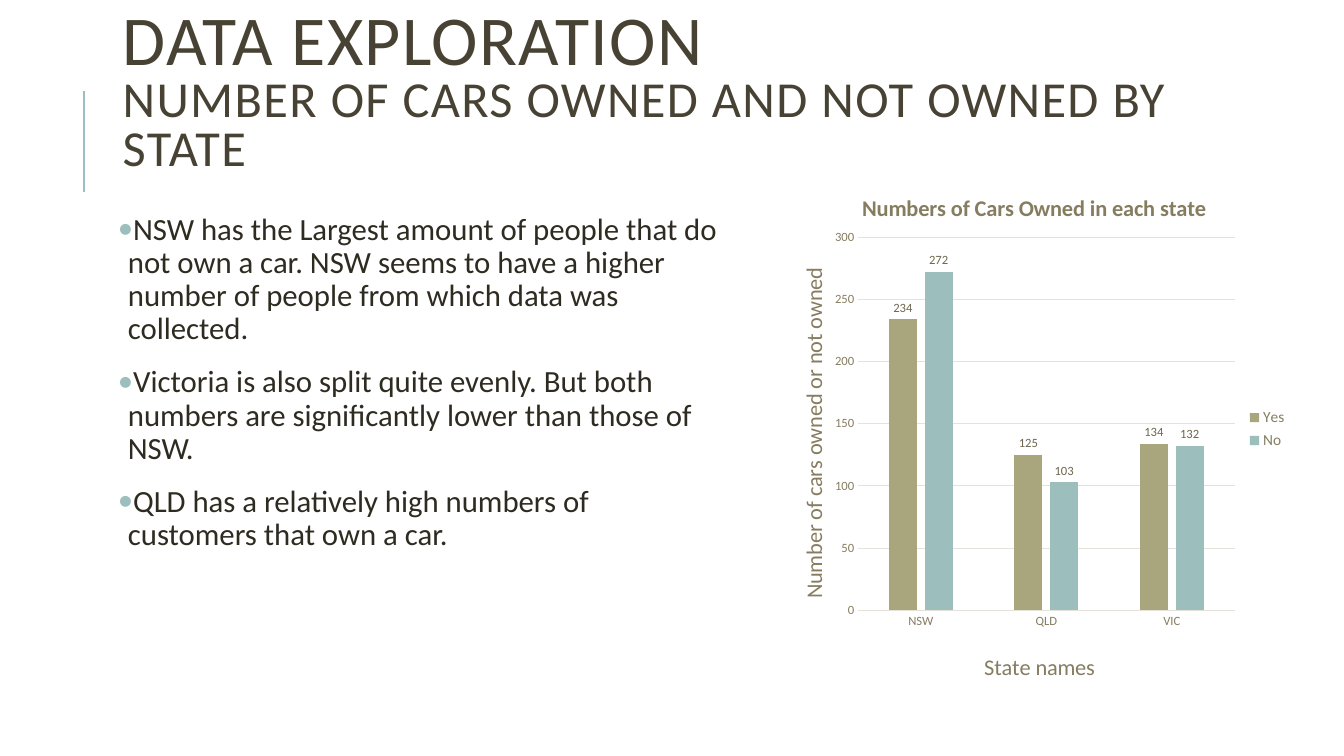
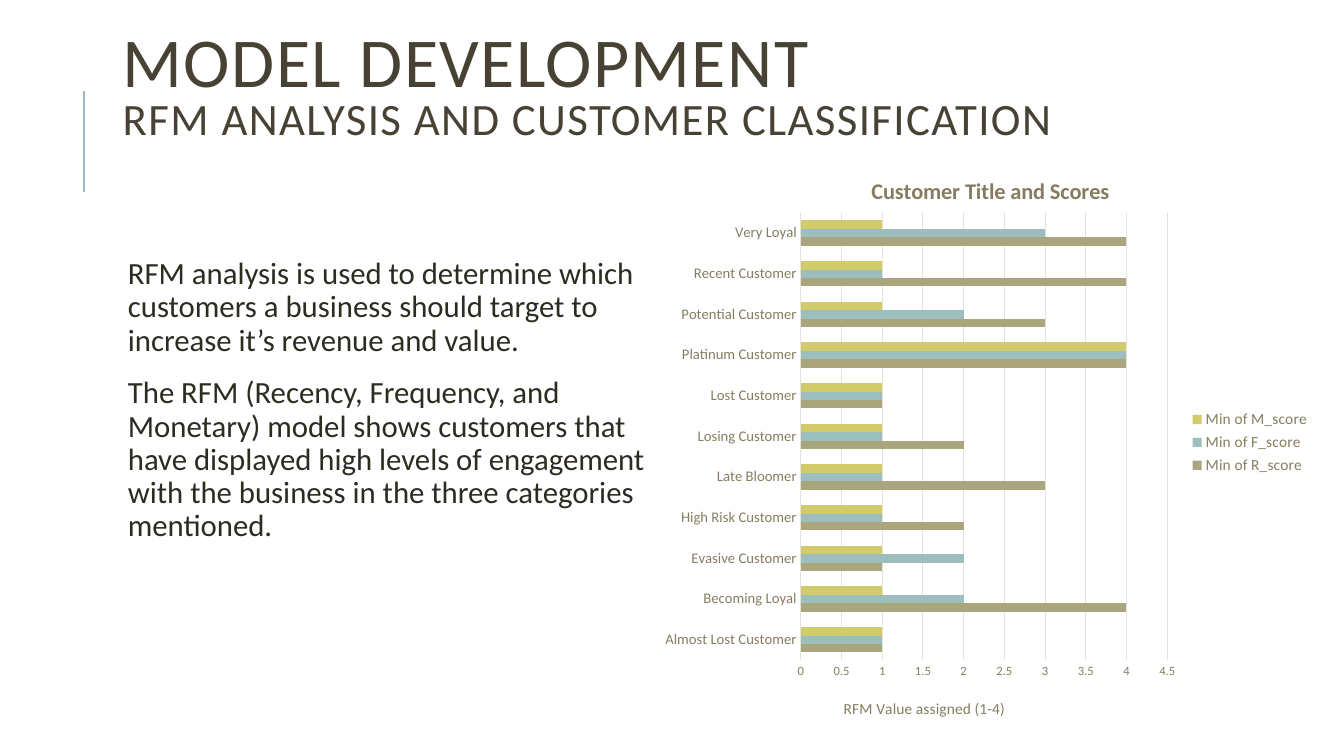
"""Build two analysis slides, each pairing written findings with a clustered chart."""

from dataclasses import dataclass
from typing import Optional

from lxml.etree import SubElement
from pptx import Presentation
from pptx.chart.chart import Chart
from pptx.chart.data import CategoryChartData
from pptx.dml.color import RGBColor
from pptx.enum.chart import XL_CHART_TYPE, XL_LABEL_POSITION, XL_LEGEND_POSITION, XL_TICK_MARK
from pptx.enum.shapes import MSO_CONNECTOR
from pptx.enum.text import MSO_ANCHOR
from pptx.oxml.ns import qn
from pptx.slide import Slide
from pptx.text.text import Font
from pptx.util import Pt

FONT = "Calibri"
HEADING = RGBColor(0x47, 0x42, 0x33)
BODY = RGBColor(0x2E, 0x2B, 0x21)
CHART_TEXT = RGBColor(0x86, 0x7D, 0x60)
LABEL = RGBColor(0x6D, 0x66, 0x4E)
GRID = RGBColor(0xE4, 0xE2, 0xD9)
OLIVE = RGBColor(0xA9, 0xA5, 0x7C)
TEAL = RGBColor(0x9C, 0xBE, 0xBD)
LIME = RGBColor(0xD2, 0xCB, 0x6C)


@dataclass(frozen=True)
class Box:
    left: float
    top: float
    width: float
    height: float

    def lengths(self) -> tuple[Pt, Pt, Pt, Pt]:
        return Pt(self.left), Pt(self.top), Pt(self.width), Pt(self.height)


@dataclass(frozen=True)
class Heading:
    text: str
    size: float
    x: float
    y: float


@dataclass(frozen=True)
class Series:
    name: str
    values: tuple[int, ...]
    color: RGBColor


@dataclass(frozen=True)
class ChartSpec:
    kind: XL_CHART_TYPE
    box: Box
    plot: Box
    title: Heading
    value_title: Heading
    categories: tuple[str, ...]
    series: tuple[Series, ...]
    gap: int
    overlap: int
    maximum: float
    step: float
    category_size: float
    category_title: Optional[Heading] = None
    labelled: bool = False


@dataclass(frozen=True)
class Topic:
    title: str
    subtitle: str
    subtitle_size: float
    title_height: float
    findings_box: Box
    findings: tuple[str, ...]
    bulleted: bool
    chart: ChartSpec


TOPICS = (
    Topic(
        "DATA EXPLORATION", "NUMBER OF CARS OWNED AND NOT OWNED BY STATE", 36, 98,
        Box(80.6, 149, 437, 348),
        (
            "NSW has the Largest amount of people that do not own a car. NSW seems to have "
            "a higher number of people from which data was collected.",
            "Victoria is also split quite evenly. But both numbers are significantly lower "
            "than those of NSW.",
            "QLD has a relatively high numbers of customers that own a car.",
        ),
        True,
        ChartSpec(
            XL_CHART_TYPE.COLUMN_CLUSTERED,
            Box(548.6, 116, 378.7, 381), Box(0.17, 0.14, 0.71, 0.7),
            Heading("Numbers of Cars Owned in each state", 16, 0.17, 0.05),
            Heading("Number of cars owned or not owned", 16, 0.05, 0.19),
            ("NSW", "QLD", "VIC"),
            (Series("Yes", (234, 125, 134), OLIVE), Series("No", (272, 103, 132), TEAL)),
            gap=219, overlap=-27, maximum=300, step=50, category_size=9,
            category_title=Heading("State names", 16, 0.4, 0.91), labelled=True,
        ),
    ),
    Topic(
        "MODEL DEVELOPMENT", "RFM ANALYSIS AND CUSTOMER CLASSIFICATION", 32, 91.4,
        Box(80.6, 180.7, 386.6, 316),
        (
            "RFM analysis is used to determine which customers a business should target to "
            "increase it’s revenue and value.",
            "The RFM (Recency, Frequency, and Monetary) model shows customers that have "
            "displayed high levels of engagement with the business in the three categories "
            "mentioned.",
        ),
        False,
        ChartSpec(
            XL_CHART_TYPE.BAR_CLUSTERED,
            Box(467.3, 105.8, 476, 420.5), Box(0.22, 0.11, 0.55, 0.76),
            Heading("Customer Title and Scores", 16, 0.32, 0.04),
            Heading("RFM Value assigned (1-4)", 11, 0.28, 0.93),
            (
                "Almost Lost Customer", "Becoming Loyal", "Evasive Customer",
                "High Risk Customer", "Late Bloomer", "Losing Customer", "Lost Customer",
                "Platinum Customer", "Potential Customer", "Recent Customer", "Very Loyal",
            ),
            (
                Series("Min of R_score", (1, 4, 1, 2, 3, 2, 1, 4, 3, 4, 4), OLIVE),
                Series("Min of F_score", (1, 2, 2, 1, 1, 1, 1, 4, 2, 1, 3), TEAL),
                Series("Min of M_score", (1, 1, 1, 1, 1, 1, 1, 4, 1, 1, 1), LIME),
            ),
            gap=182, overlap=0, maximum=4.5, step=0.5, category_size=10.5,
        ),
    ),
)


def style(font: Font, size: float, color: RGBColor, bold: bool = False) -> None:
    font.name = FONT
    font.size = Pt(size)
    font.bold = bold
    font.color.rgb = color


def set_layout(parent, index: int, **settings: object) -> None:
    for previous in parent.findall(qn("c:layout")):
        parent.remove(previous)
    layout = SubElement(parent, qn("c:layout"))
    manual = SubElement(layout, qn("c:manualLayout"))
    for tag, value in settings.items():
        SubElement(manual, qn(f"c:{tag}")).set("val", str(value))
    parent.insert(index, layout)


def set_heading(owner, heading: Heading, bold: bool = False, upright: bool = False) -> None:
    frame = owner.text_frame
    frame.text = heading.text
    style(frame.paragraphs[0].runs[0].font, heading.size, CHART_TEXT, bold)
    if upright:
        body = owner.element.find(f".//{qn('a:bodyPr')}")
        body.set("rot", "-5400000")
        body.set("vert", "horz")
    set_layout(owner.element, 1, xMode="edge", yMode="edge", x=heading.x, y=heading.y)


def style_axes(chart: Chart, spec: ChartSpec) -> None:
    category, value = chart.category_axis, chart.value_axis
    for axis, size in ((category, spec.category_size), (value, 9)):
        axis.major_tick_mark = axis.minor_tick_mark = XL_TICK_MARK.NONE
        style(axis.tick_labels.font, size, CHART_TEXT)
    category.format.line.color.rgb = GRID
    category.format.line.width = Pt(0.75)
    value.format.line.fill.background()
    value.major_gridlines.format.line.color.rgb = GRID
    value.major_gridlines.format.line.width = Pt(0.75)
    value.minimum_scale = 0
    value.maximum_scale = spec.maximum
    value.major_unit = spec.step
    upright = spec.kind == XL_CHART_TYPE.COLUMN_CLUSTERED
    set_heading(value.axis_title, spec.value_title, upright=upright)
    if spec.category_title:
        set_heading(category.axis_title, spec.category_title)


def add_chart(slide: Slide, spec: ChartSpec) -> None:
    data = CategoryChartData()
    data.categories = spec.categories
    for series in spec.series:
        data.add_series(series.name, series.values)
    chart = slide.shapes.add_chart(spec.kind, *spec.box.lengths(), data).chart
    style(chart.font, 10, BODY)
    set_heading(chart.chart_title, spec.title, bold=True)
    style_axes(chart, spec)
    chart.has_legend = True
    chart.legend.position = XL_LEGEND_POSITION.RIGHT
    chart.legend.include_in_layout = False
    style(chart.legend.font, 11, CHART_TEXT)
    bars = chart.plots[0]
    bars.vary_by_categories = False
    bars.gap_width = spec.gap
    bars.overlap = spec.overlap
    for drawn, series in zip(bars.series, spec.series):
        drawn.format.fill.solid()
        drawn.format.fill.fore_color.rgb = series.color
        if spec.labelled:
            drawn.data_labels.show_value = True
            drawn.data_labels.position = XL_LABEL_POSITION.OUTSIDE_END
            style(drawn.data_labels.font, 9, LABEL)
    area = chart.element.find(f".//{qn('c:plotArea')}")
    set_layout(
        area, 0, layoutTarget="inner", xMode="edge", yMode="edge",
        x=spec.plot.left, y=spec.plot.top, w=spec.plot.width, h=spec.plot.height,
    )


def add_title(slide: Slide, topic: Topic) -> None:
    rule = slide.shapes.add_connector(MSO_CONNECTOR.STRAIGHT, Pt(60), Pt(137), Pt(60), Pt(65))
    rule.line.color.rgb = TEAL
    rule.line.width = Pt(1.5)
    SubElement(rule.element.spPr, qn("a:effectLst"))
    box = Box(80.6, 18, 765.4, topic.title_height)
    frame = slide.shapes.add_textbox(*box.lengths()).text_frame
    frame.word_wrap = True
    frame.vertical_anchor = MSO_ANCHOR.MIDDLE
    heading = frame.paragraphs[0]
    heading.text = f"{topic.title}\v{topic.subtitle}"
    heading.line_spacing = 0.8
    for run, size in zip(heading.runs, (50, topic.subtitle_size)):
        style(run.font, size, HEADING)
        run.font._element.set("spc", "100")


def add_findings(slide: Slide, topic: Topic) -> None:
    frame = slide.shapes.add_textbox(*topic.findings_box.lengths()).text_frame
    frame.word_wrap = True
    frame.margin_left = frame.margin_right = Pt(3.6)
    frame.margin_top = frame.margin_bottom = Pt(3.6)
    frame.text = "\n".join(topic.findings)
    for finding in frame.paragraphs:
        finding.line_spacing = 0.9
        finding.space_before = Pt(12)
        finding.space_after = Pt(2)
        style(finding.runs[0].font, 22, BODY)
        properties = finding._p.get_or_add_pPr()
        properties.set("marL", str(Pt(7.2)))
        if topic.bulleted:
            properties.set("indent", str(-Pt(7.2)))
            color = SubElement(properties, qn("a:buClr"))
            SubElement(color, qn("a:srgbClr")).set("val", str(TEAL))
            SubElement(properties, qn("a:buFont")).set("typeface", FONT)
            SubElement(properties, qn("a:buChar")).set("char", "•")


def main() -> None:
    deck = Presentation()
    deck.slide_width, deck.slide_height = Pt(960), Pt(540)
    for topic in TOPICS:
        slide = deck.slides.add_slide(deck.slide_layouts[6])
        add_title(slide, topic)
        add_findings(slide, topic)
        add_chart(slide, topic.chart)
    deck.save("out.pptx")


if __name__ == "__main__":
    main()
